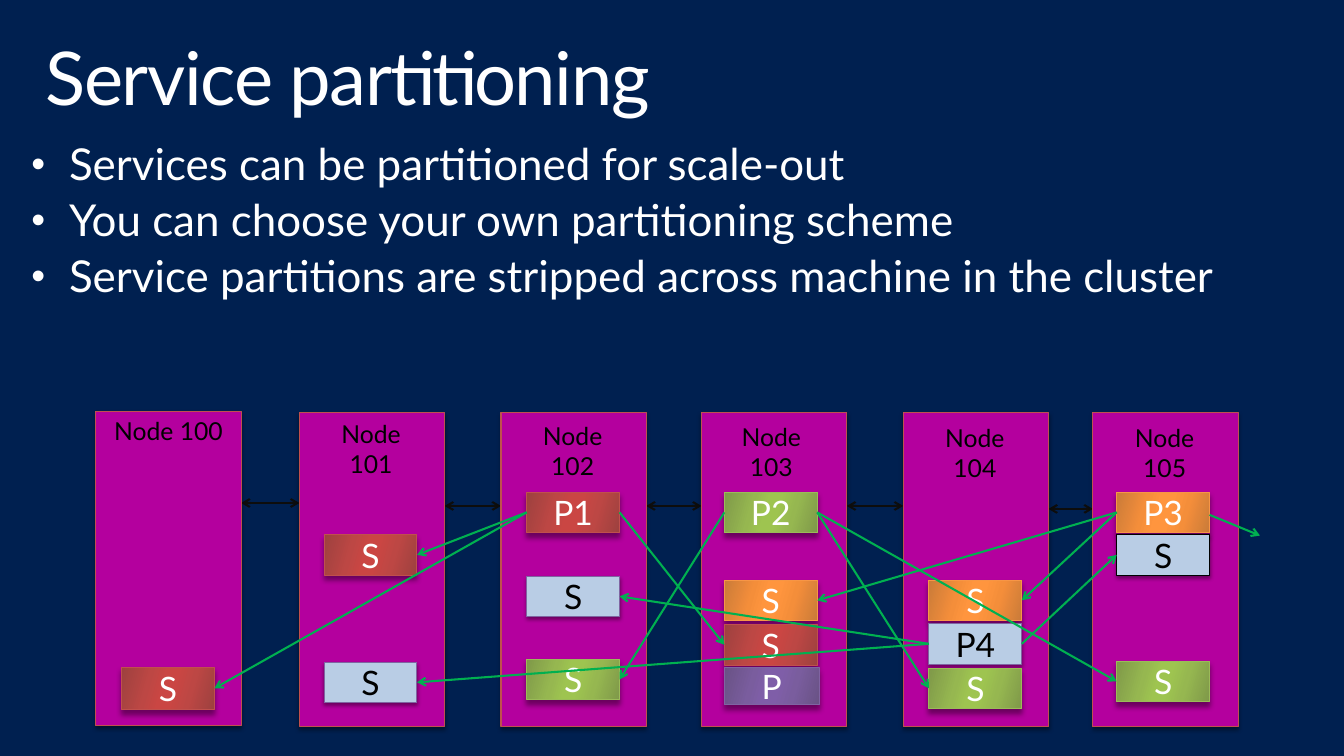
from dataclasses import dataclass

from lxml.etree import SubElement
from pptx import Presentation
from pptx.dml.color import RGBColor
from pptx.enum.shapes import MSO_CONNECTOR, MSO_SHAPE
from pptx.enum.text import MSO_ANCHOR, PP_ALIGN
from pptx.oxml import parse_xml
from pptx.oxml.ns import nsdecls, qn
from pptx.util import Inches, Pt

FONT = "Lato"
WHITE, BLACK, GREEN = "FFFFFF", "000000", "00B050"
NODE_WIDTH, NODE_HEIGHT = 1.47, 3.18
LEFT_SITE, RIGHT_SITE = 1, 3
BULLETS = [
    "Services can be partitioned for scale-out",
    "You can choose your own partitioning scheme",
    "Service partitions are stripped across machine in the cluster",
]


@dataclass
class Partition:
    outline: str
    shades: tuple  # edge, middle and centre of the gradient, or one flat colour
    text_color: str = WHITE


@dataclass
class Replica:
    partition: int
    text: str
    top: float
    width: float = 0.94
    height: float = 0.41
    outline: str = ""


@dataclass
class Node:
    name: str
    left: float
    replica_inset: float
    replicas: list
    label_top: float
    label_shift: float = -0.01
    label_width: float = 1.23
    top: float = 0


PARTITIONS = {
    1: Partition("C0504D", ("9D413F", "BD4744", "CA4643")),
    2: Partition("9BBB59", ("7F9949", "96B750", "9EC450")),
    3: Partition("F79646", ("CA7B39", "F48E3A", "FF953E")),
    4: Partition("8064A2", ("B9CDE5",), BLACK),
    5: Partition("8064A2", ("695285", "7A5D9E", "7F5EA8")),
}

# Lefts and tops are measured from the corner of the cluster.
NODES = [
    Node("Node 100", 0, 0.26, [Replica(1, "S", 2.58, height=0.43)],
         -0.01, 0, NODE_WIDTH, -0.01),
    Node("Node 101", 2.06, 0.25, [Replica(1, "S", 1.24), Replica(4, "S", 2.53)], 0.02),
    Node("Node 102", 4.1, 0.26, [Replica(1, "P1", 0.81), Replica(4, "S", 1.66),
                                 Replica(2, "S", 2.5)], 0.04),
    Node("Node 103", 6.13, 0.23, [Replica(2, "P2", 0.81), Replica(3, "S", 1.7),
                                  Replica(1, "S", 2.15),
                                  Replica(5, "P", 2.59, 0.96, 0.37)], 0.05, -0.03),
    Node("Node 104", 8.17, 0.26, [Replica(3, "S", 1.7), Replica(4, "P4", 2.14),
                                  Replica(2, "S", 2.59)], 0.06),
    Node("Node 105", 10.09, 0.24, [Replica(3, "P3", 0.81),
                                   Replica(4, "S", 1.24, outline=BLACK),
                                   Replica(2, "S", 2.52)], 0.06),
]
NEIGHBOUR_ARROW_TOPS = [0.92, 0.95, 0.95, 0.95, 0.98]


def color(value):
    return RGBColor.from_string(value)


def style_text(paragraph, size, text_color):
    for run in paragraph.runs:
        run.font.name = FONT
        run.font.size = Pt(size)
        run.font.color.rgb = color(text_color)


def add_text_box(slide, left, top, width, height):
    box = slide.shapes.add_textbox(*map(Inches, (left, top, width, height)))
    box.text_frame.word_wrap = True
    return box.text_frame


def set_shadow(shape, blur, distance):
    shape.shadow.inherit = False
    effects = shape._element.spPr.find(qn("a:effectLst"))
    shadow = SubElement(effects, qn("a:outerShdw"), blurRad=str(Pt(blur)),
                        dist=str(Pt(distance)), dir="5400000", rotWithShape="0")
    shadow_color = SubElement(shadow, qn("a:srgbClr"), val=BLACK)
    SubElement(shadow_color, qn("a:alpha"), val="40000")


def set_gradient(shape, shades):
    """Fill with a gradient that is brightest in the centre."""
    edge, middle, centre = shades
    stops = zip((0, 30, 45, 55, 73, 100), (edge, middle, centre, centre, middle, edge))
    stop_xml = "".join(f'<a:gs pos="{position * 1000}"><a:srgbClr val="{shade}"/></a:gs>'
                       for position, shade in stops)
    gradient = parse_xml(f'<a:gradFill {nsdecls("a")} rotWithShape="1"><a:gsLst>{stop_xml}'
                         f'</a:gsLst><a:lin ang="{16 * 60000}" scaled="0"/></a:gradFill>')
    solid = shape._element.spPr.find(qn("a:solidFill"))
    solid.getparent().replace(solid, gradient)


def add_rectangle(slide, left, top, width, height, shades, outline):
    shape = slide.shapes.add_shape(MSO_SHAPE.RECTANGLE,
                                   *map(Inches, (left, top, width, height)))
    shape.fill.solid()
    shape.fill.fore_color.rgb = color(shades[0])
    shape.line.color.rgb = color(outline)
    shape.line.width = Pt(0.75)
    if len(shades) > 1:
        set_gradient(shape, shades)
        set_shadow(shape, 4, 3.4)
    else:
        set_shadow(shape, 3, 2)
    return shape


def add_arrow(slide, kind, start, end, line_color, ends=("tailEnd",)):
    arrow = slide.shapes.add_connector(kind, *map(Inches, (*start, *end)))
    arrow.line.color.rgb = color(line_color)
    arrow.line.width = Pt(1.5)
    for end_name in ends:
        SubElement(arrow.line._get_or_add_ln(), qn(f"a:{end_name}"), type="arrow")
    SubElement(arrow._element.spPr, qn("a:effectLst"))
    return arrow


def draw_title(slide, left, top, width, height):
    frame = add_text_box(slide, left, top, width, height)
    frame.margin_left = frame.margin_right = Inches(0.16)
    frame.margin_top = frame.margin_bottom = Inches(0.1)
    frame.text = "Service partitioning"
    paragraph = frame.paragraphs[0]
    paragraph.line_spacing = 0.9
    style_text(paragraph, 54, WHITE)
    paragraph.runs[0].font._element.set("spc", "-100")


def draw_bullets(slide, left, top, width, height):
    frame = add_text_box(slide, left, top, width, height)
    frame.text = "\n".join(BULLETS)
    for paragraph in frame.paragraphs:
        paragraph.line_spacing = 0.9
        paragraph.space_before = Pt(6.4)
        style_text(paragraph, 32, WHITE)
        properties = paragraph._p.get_or_add_pPr()
        properties.set("marL", str(Inches(0.38)))
        properties.set("indent", str(Inches(-0.38)))
        SubElement(properties, qn("a:buSzPct"), val="90000")
        SubElement(properties, qn("a:buFont"), typeface="Arial")
        SubElement(properties, qn("a:buChar"), char="•")


def draw_replica(slide, replica, left, top):
    partition = PARTITIONS[replica.partition]
    shape = add_rectangle(slide, left, top, replica.width, replica.height,
                          partition.shades, replica.outline or partition.outline)
    frame = shape.text_frame
    frame.text = replica.text
    frame.vertical_anchor = MSO_ANCHOR.MIDDLE
    frame.paragraphs[0].alignment = PP_ALIGN.CENTER
    style_text(frame.paragraphs[0], 24.5, partition.text_color)
    return shape


def draw_node(slide, node, left, top):
    """Draw one node and return its replicas with their shapes."""
    add_rectangle(slide, left, top + node.top, NODE_WIDTH, NODE_HEIGHT,
                  ("B4009E",), "C0504D")
    label_left = left + (NODE_WIDTH - node.label_width) / 2 + node.label_shift
    frame = add_text_box(slide, label_left, top + node.label_top, node.label_width, 0.4)
    frame.text = node.name
    frame.paragraphs[0].alignment = PP_ALIGN.CENTER
    style_text(frame.paragraphs[0], 18, BLACK)
    return [(replica, draw_replica(slide, replica, left + node.replica_inset,
                                   top + replica.top)) for replica in node.replicas]


def draw_replication(slide, placed):
    """Link each primary to every secondary of its partition."""
    primaries = [pair for pair in placed if pair[0].text.startswith("P")]
    secondaries = [pair for pair in placed if pair[0].text == "S"]
    for primary, source in primaries:
        for secondary, target in secondaries:
            if secondary.partition != primary.partition:
                continue
            sites = [RIGHT_SITE, LEFT_SITE]
            if target.left < source.left:
                sites.reverse()
            arrow = add_arrow(slide, MSO_CONNECTOR.STRAIGHT, (0, 0), (1, 1), GREEN)
            arrow.begin_connect(source, sites[0])
            arrow.end_connect(target, sites[1])


def draw_cluster(slide, left, top):
    for node, neighbour, arrow_top in zip(NODES, NODES[1:], NEIGHBOUR_ARROW_TOPS):
        add_arrow(slide, MSO_CONNECTOR.ELBOW, (left + neighbour.left, top + arrow_top),
                  (left + node.left + NODE_WIDTH, top + arrow_top), "0D0D0D",
                  ("headEnd", "tailEnd"))
    placed = []
    for node in NODES:
        placed += draw_node(slide, node, left + node.left, top)
    draw_replication(slide, placed)
    add_arrow(slide, MSO_CONNECTOR.STRAIGHT, (left + 11.27, top + 1.04),
              (left + 11.78, top + 1.25), GREEN)


def main():
    presentation = Presentation()
    presentation.slide_width, presentation.slide_height = Inches(13.6), Inches(7.65)
    slide = presentation.slides.add_slide(presentation.slide_layouts[6])
    slide.background.fill.solid()
    slide.background.fill.fore_color.rgb = color("002050")
    draw_title(slide, 0.3, 0.32, 13, 1)
    draw_cluster(slide, 0.97, 4.17)
    draw_bullets(slide, 0.22, 1.39, 13.38, 3.02)
    presentation.save("out.pptx")


if __name__ == "__main__":
    main()
